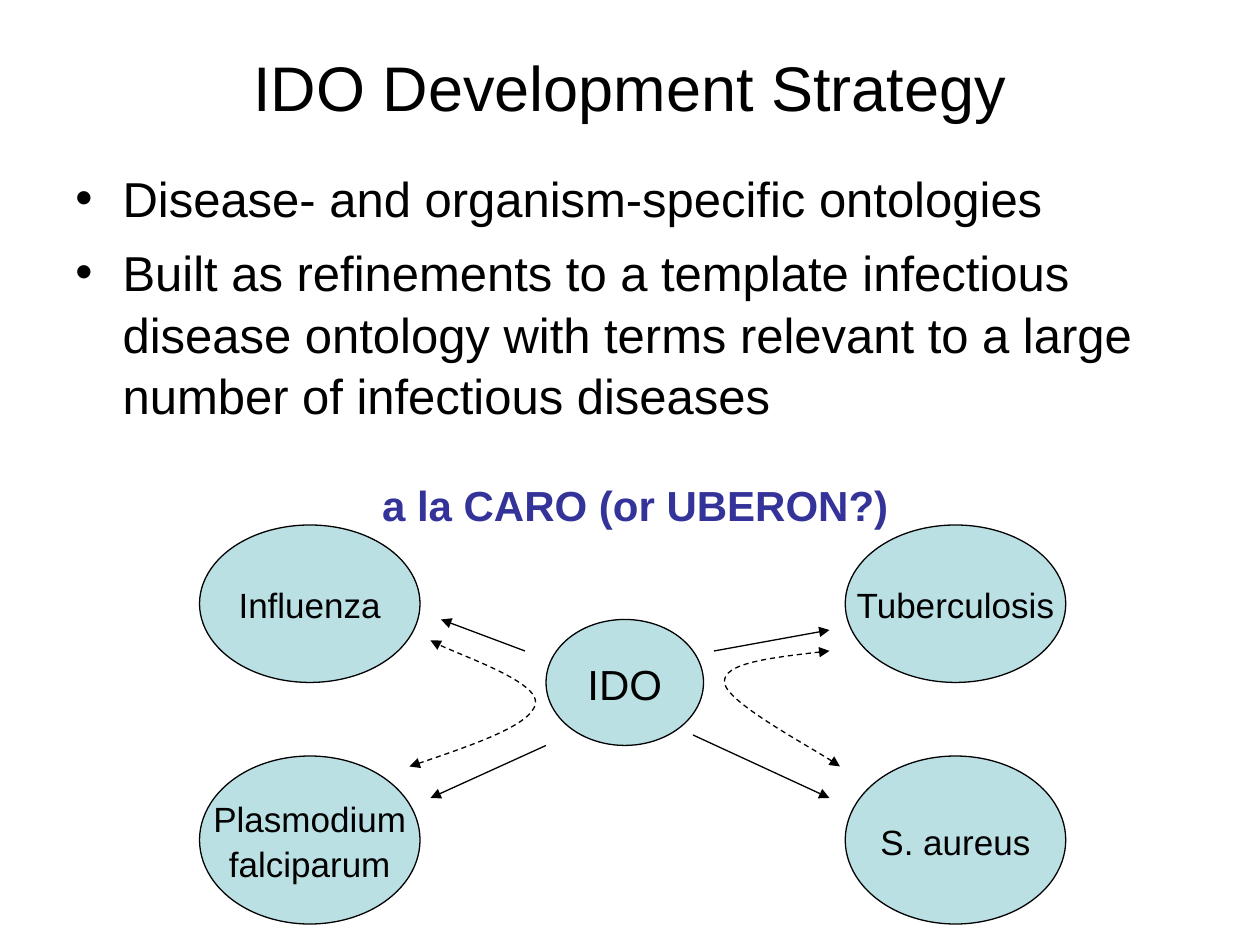
from dataclasses import dataclass

from lxml import etree
from pptx import Presentation
from pptx.dml.color import RGBColor
from pptx.enum import dml, shapes, text
from pptx.oxml import ns
from pptx.util import Pt


@dataclass(frozen=True)
class Theme:
    font: str = "Arial"
    ink: str = "000000"
    accent: str = "333399"
    node_fill: str = "BBE0E3"
    title: int = 36
    body: int = 28
    caption: int = 24
    hub: int = 24
    node: int = 20
    line: float = 0.75
    spacing: float = 1.05


THEME = Theme()
TITLE = "IDO Development Strategy"
BULLETS = [
    "Disease- and organism-specific ontologies",
    "Built as refinements to a template infectious disease ontology "
    "with terms relevant to a large number of infectious diseases",
]
CAPTION = "a la CARO (or UBERON?)"
HUB = "IDO"
DISEASES = [
    [["Influenza"], ["Tuberculosis"]],
    [["Plasmodium", "falciparum"], ["S. aureus"]],
]

COLUMN_LEFTS = (114, 483)
ROWS = ((300, 90), (432, 96))
NODE_WIDTH = 126
HUB_AREA = (312, 354, 90, 72)
ARROWS = [
    ((408, 372), (474, 360)),
    ((396, 420), (474, 456)),
    ((300, 372), (252, 354)),
    ((312, 426), (246, 456)),
]
CURVES = [
    [(234, 438), (269.5, 426), (304, 414), (306, 402),
     (308, 390), (256, 372), (246, 366)],
    [(474, 372), (443.5, 375.5), (413, 379), (414, 390),
     (415, 401), (469, 430), (480, 438)],
]


def child(parent, tag, **attributes):
    return etree.SubElement(parent, ns.qn(tag), attributes)


def write(frame, lines, size, color=THEME.ink, bold=False, bullet=False,
          align=text.PP_ALIGN.CENTER, before=0, append=False):
    for index, line in enumerate(lines):
        fresh = append or index > 0
        para = frame.add_paragraph() if fresh else frame.paragraphs[0]
        if bullet:
            props = para._p.get_or_add_pPr()
            props.set("marL", str(Pt(27)))
            props.set("indent", str(Pt(-27)))
            child(props, "a:buFont", typeface=THEME.font)
            child(props, "a:buChar", char="•")
        para.alignment = align
        para.line_spacing = THEME.spacing
        if fresh:
            para.space_before = Pt(before)
        span = para.add_run()
        span.text = line
        span.font.name = THEME.font
        span.font.size = Pt(size)
        span.font.bold = bold
        span.font.color.rgb = RGBColor.from_string(color)


def add_text_box(page, area):
    frame = page.shapes.add_textbox(*map(Pt, area)).text_frame
    frame.word_wrap = True
    return frame


def add_node(page, area, lines, size):
    node = page.shapes.add_shape(shapes.MSO_SHAPE.OVAL, *map(Pt, area))
    node.shadow.inherit = False
    node.fill.solid()
    node.fill.fore_color.rgb = RGBColor.from_string(THEME.node_fill)
    style_line(node)
    node.text_frame.word_wrap = False
    node.text_frame.vertical_anchor = text.MSO_ANCHOR.MIDDLE
    write(node.text_frame, lines, size)


def style_line(item, heads=()):
    item.line.color.rgb = RGBColor.from_string(THEME.ink)
    item.line.width = Pt(THEME.line)
    for head in heads:
        child(item.line._get_or_add_ln(), head, type="triangle")


def add_arrow(page, start, end):
    arrow = page.shapes.add_connector(
        shapes.MSO_CONNECTOR.STRAIGHT, *map(Pt, start + end))
    style_line(arrow, ["a:tailEnd"])
    child(arrow._element.spPr, "a:effectLst")


def add_curve(page, points):
    start, *rest = [(Pt(x), Pt(y)) for x, y in points]
    builder = page.shapes.build_freeform(*start)
    builder.add_line_segments(rest, close=False)
    curve = builder.convert_to_shape()
    segments = list(curve._element.iter(ns.qn("a:lnTo")))
    outline = segments[0].getparent()
    for first in range(0, len(segments), 3):
        bezier = child(outline, "a:cubicBezTo")
        for segment in segments[first:first + 3]:
            bezier.append(segment[0])
            outline.remove(segment)
    curve.shadow.inherit = False
    curve.fill.background()
    curve.line.dash_style = dml.MSO_LINE.DASH
    style_line(curve, ["a:headEnd", "a:tailEnd"])


def main():
    deck = Presentation()
    deck.slide_width, deck.slide_height = Pt(720), Pt(540)
    page = deck.slides.add_slide(deck.slide_layouts[6])

    title = add_text_box(page, (54, 18, 612, 60))
    title.vertical_anchor = text.MSO_ANCHOR.MIDDLE
    write(title, [TITLE], THEME.title)

    body = add_text_box(page, (36, 91, 654, 377))
    write(body, BULLETS, THEME.body, bullet=True,
          align=text.PP_ALIGN.LEFT, before=7)
    write(body, [CAPTION], THEME.caption, color=THEME.accent, bold=True,
          before=30, append=True)

    add_node(page, HUB_AREA, [HUB], THEME.hub)
    for (top, height), row in zip(ROWS, DISEASES):
        for left, lines in zip(COLUMN_LEFTS, row):
            add_node(page, (left, top, NODE_WIDTH, height), lines, THEME.node)
    for start, end in ARROWS:
        add_arrow(page, start, end)
    for points in CURVES:
        add_curve(page, points)

    deck.save("out.pptx")


if __name__ == "__main__":
    main()
